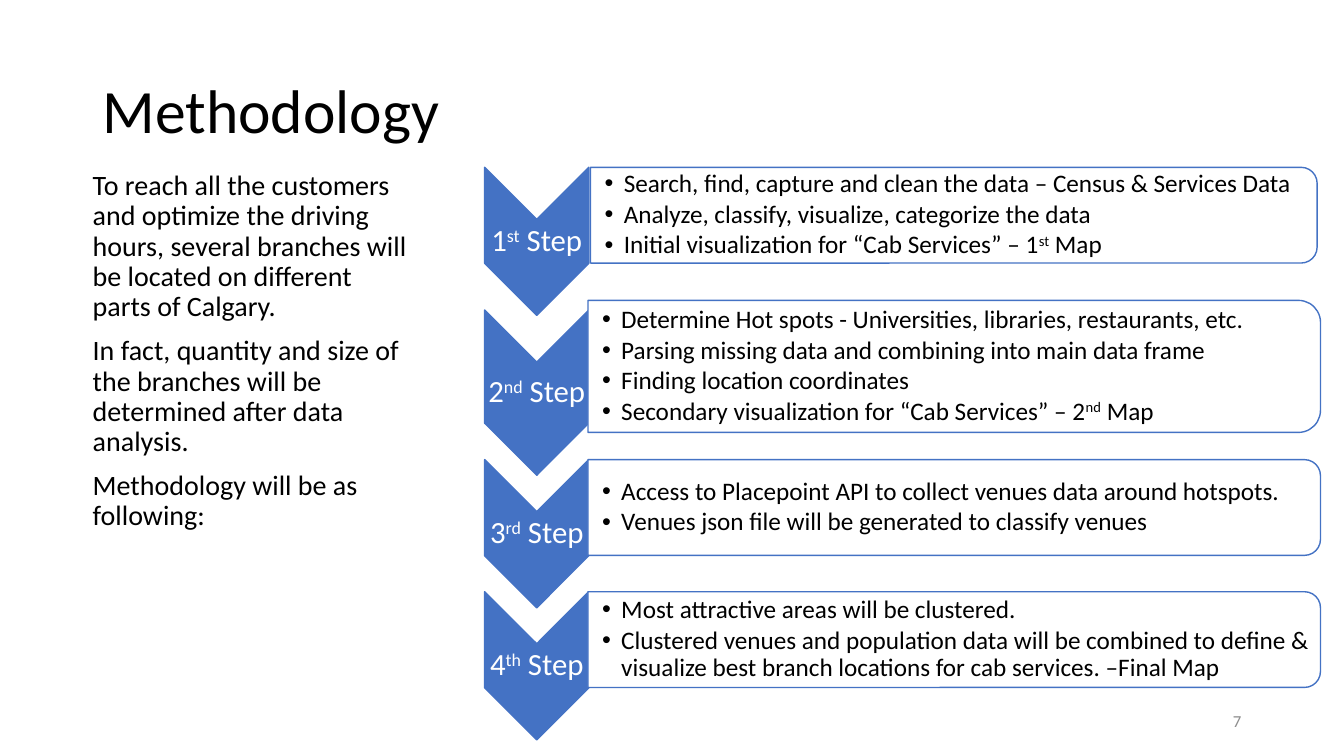
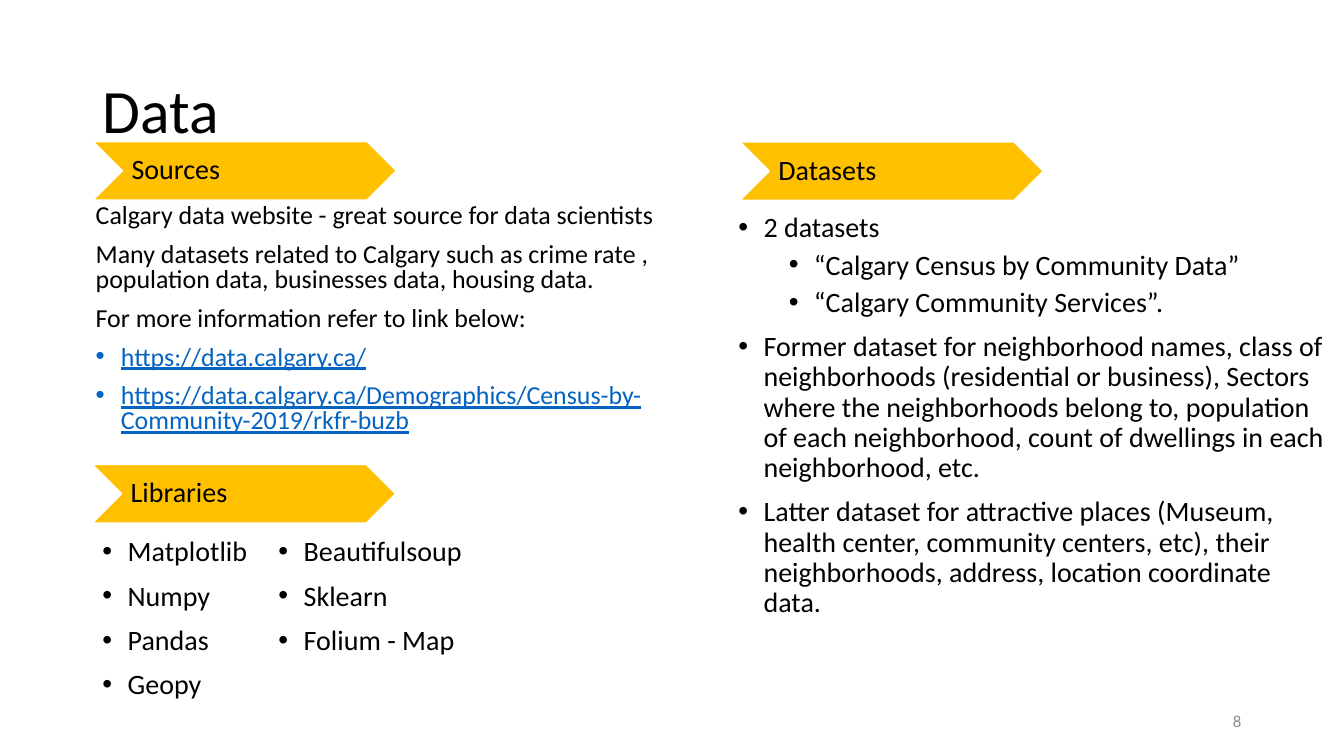
import lxml.etree
import pptx
import pptx.dml.color
import pptx.enum.shapes
import pptx.enum.text
import pptx.oxml.ns
import pptx.util

COLS, ROWS = 160, 90
COLORS = {"text": "000000", "blue": "4472C4", "gold": "FFC000", "white": "FFFFFF",
          "gray": "8C8C8C", "link": "0563C1"}
ALIGN = pptx.enum.text.PP_ALIGN
MIDDLE = pptx.enum.text.MSO_ANCHOR.MIDDLE
TOP = pptx.enum.text.MSO_ANCHOR.TOP
SHAPE = pptx.enum.shapes.MSO_SHAPE
Pt = pptx.util.Pt


def style(size, color="text", line=0.9, before=0, after=0, align=ALIGN.LEFT, indent=None, underline=None):
    """Return the font, paragraph and bullet settings of one text style."""
    return {"font": {"name": "Calibri", "size": Pt(size), "underline": underline},
            "para": {"line_spacing": line, "space_before": Pt(before),
                     "space_after": Pt(after), "alignment": align},
            "color": color, "indent": indent}


STYLES = {
    "title": style(44),
    "number": style(12, "gray", line=1, align=ALIGN.RIGHT),
    "body": style(20, before=10),
    "bullet": style(20, before=10, indent=(3, 3)),
    "sub": style(20, before=5, indent=(9, 3)),
    "source": style(18.5, line=0.8, before=10),
    "link": style(18.5, "link", line=0.8, before=10, indent=(3, 3), underline=True),
    "step": style(22, "white", align=ALIGN.CENTER),
    "task": style(18, after=2.4, indent=(2.28, 2.28)),
    "banner": style(20),
}


class Deck:
    """Hold the style and the current slide, drawn on a grid of columns and rows."""

    def __init__(self):
        """Start an empty widescreen presentation."""
        self.prs = pptx.Presentation()
        self.prs.slide_width = pptx.util.Inches(13.333)
        self.prs.slide_height = pptx.util.Inches(7.5)
        self.s = None

    def x(self, cols):
        """Turn columns into a length."""
        return round(self.prs.slide_width * cols / COLS)

    def y(self, rows):
        """Turn rows into a length."""
        return round(self.prs.slide_height * rows / ROWS)

    def place(self, at):
        """Turn a grid rectangle into slide lengths."""
        left, top, width, height = at
        return self.x(left), self.y(top), self.x(width), self.y(height)

    def rgb(self, name):
        """Look up a named colour."""
        return pptx.dml.color.RGBColor.from_string(COLORS[name])

    def slide(self, title, number):
        """Add a blank slide with its title and number."""
        self.s = self.prs.slides.add_slide(self.prs.slide_layouts[6])
        self.text((11, 4.8, 138, 17.4), "title", [title], anchor=MIDDLE)
        self.text((113, 83.4, 36, 4.8), "number", [str(number)], anchor=MIDDLE)

    def bullet(self, p, color, indent):
        """Give a paragraph a hanging round bullet."""
        pPr = p._p.get_or_add_pPr()
        left, hang = indent
        pPr.set("marL", str(self.x(left)))
        pPr.set("indent", str(-self.x(hang)))
        qn = pptx.oxml.ns.qn
        clr = lxml.etree.SubElement(pPr, qn("a:buClr"))
        lxml.etree.SubElement(clr, qn("a:srgbClr"), val=COLORS[color])
        lxml.etree.SubElement(pPr, qn("a:buFont"), typeface="Arial")
        lxml.etree.SubElement(pPr, qn("a:buChar"), char="•")

    def fill_text(self, tf, name, items, anchor=TOP, inset=(1.2, 0.6, 1.2, 0.6)):
        """Write paragraphs; an item may name its own style, and ^ marks superscript."""
        sides = ("margin_left", "margin_top", "margin_right", "margin_bottom")
        frame = dict(zip(sides, map(self.x, inset)), word_wrap=True, vertical_anchor=anchor)
        for key, value in frame.items():
            setattr(tf, key, value)
        for i, item in enumerate(items):
            kind, words = (name, item) if isinstance(item, str) else item
            look = STYLES[kind]
            p = tf.add_paragraph() if i else tf.paragraphs[0]
            if look["indent"]:
                self.bullet(p, look["color"], look["indent"])
            for key, value in look["para"].items():
                setattr(p, key, value)
            if i == 0:
                p.space_before = Pt(0)
            for j, part in enumerate(words.split("^")):
                r = p.add_run()
                r.text = part
                for key, value in look["font"].items():
                    setattr(r.font, key, value)
                r.font.color.rgb = self.rgb(look["color"])
                if j % 2:
                    r._r.get_or_add_rPr().set("baseline", "30000")

    def text(self, at, name, items, **frame):
        """Add a text box."""
        self.fill_text(self.s.shapes.add_textbox(*self.place(at)).text_frame, name, items, **frame)

    def shape(self, kind, at, fill, line, turned=False):
        """Add a preset shape that covers a rectangle, turned by a quarter if asked."""
        if turned:
            left, top, w, h = at
            at = left + (w - h) / 2, top + (h - w) / 2, h, w
        sp = self.s.shapes.add_shape(kind, *self.place(at))
        sp.rotation = 90 if turned else 0
        sp.shadow.inherit = False
        sp.fill.solid()
        sp.fill.fore_color.rgb = self.rgb(fill)
        sp.line.color.rgb = self.rgb(line)
        sp.line.width = Pt(1)
        return sp

    def step(self, label, arrow, box, tasks):
        """Add a downward chevron with its label and a box of tasks."""
        self.shape(SHAPE.CHEVRON, arrow, "blue", "blue", turned=True)
        self.text(arrow, "step", [label], anchor=MIDDLE, inset=(0.24,) * 4)
        self.shape(SHAPE.ROUND_2_SAME_RECTANGLE, box, "white", "blue", turned=True)
        left, top, w, h = box
        self.text((left, top, w - 0.6, h), "task", tasks, anchor=MIDDLE,
                  inset=(1.68, 0.12, 0.12, 0.12))

    def banner(self, left, top, words):
        """Add a gold chevron heading."""
        sp = self.shape(SHAPE.CHEVRON, (left, top, 36.1, 6.96), "gold", "white")
        self.fill_text(sp.text_frame, "banner", [words], anchor=MIDDLE,
                       inset=(1.08, 0.36, 0.36, 0.36))


STEPS = [
    ("1^st^ Step", 19.92, 17.64, (70.3, 19.92, 86.5, 11.4), [
        "Search, find, capture and clean the data – Census & Services Data",
        "Analyze, classify, visualize, categorize the data",
        "Initial visualization for “Cab Services” – 1^st^ Map"]),
    ("2^nd^ Step", 36.9, 19.68, (70, 35.76, 87.2, 15.72), [
        "Determine Hot spots - Universities, libraries, restaurants, etc.",
        "Parsing missing data and combining into main data frame",
        "Finding location coordinates",
        "Secondary visualization for “Cab Services” – 2^nd^ Map"]),
    ("3^rd^ Step", 54.72, 17.64, (70, 54.72, 87.2, 11.4), [
        "Access to Placepoint API to collect venues data around hotspots.",
        "Venues json file will be generated to classify venues"]),
    ("4^th^ Step", 70.44, 17.64, (70, 70.44, 87.2, 11.4), [
        "Most attractive areas will be clustered.",
        "Clustered venues and population data will be combined to define & visualize "
        "best branch locations for cab services. –Final Map"]),
]


def methodology(deck):
    """Build the slide of the four steps."""
    deck.slide("Methodology", 7)
    deck.text((9.84, 19.8, 40, 57.7), "body", [
        "To reach all the customers and optimize the driving hours, several branches "
        "will be located on different parts of Calgary.",
        "In fact, quantity and size of the branches will be determined after data analysis.",
        "Methodology will be as following:"])
    for label, top, height, box, tasks in STEPS:
        deck.step(label, (57.7, top, 12.4, height), box, tasks)


def data(deck):
    """Build the slide of sources, libraries and datasets."""
    deck.slide("Data", 8)
    deck.text((10.2, 23.76, 71.9, 30.4), "source", [
        "Calgary data website - great source for data scientists",
        "Many datasets related to Calgary such as crime rate , population data, "
        "businesses data, housing data.",
        "For more information refer to link below:",
        ("link", "https://data.calgary.ca/"),
        ("link", "https://data.calgary.ca/Demographics/Census-by-Community-2019/rkfr-buzb")])
    for left, top, words in [(11.1, 16.85, "Sources"), (11, 55.3, "Libraries"),
                             (88.1, 16.9, "Datasets")]:
        deck.banner(left, top, words)
    for left, width, names in [(11, 20, ["Matplotlib", "Numpy", "Pandas", "Geopy"]),
                               (31.95, 28.7, ["Beautifulsoup", "Sklearn", "Folium - Map"])]:
        deck.text((left, 63.4, width, 20.9), "bullet", names)
    deck.text((86.7, 24.84, 73.3, 49), "bullet", [
        "2 datasets",
        ("sub", "“Calgary Census by Community Data”"),
        ("sub", "“Calgary Community Services”."),
        "Former dataset for neighborhood names, class of neighborhoods (residential or "
        "business), Sectors where the neighborhoods belong to, population of each "
        "neighborhood, count of dwellings in each neighborhood, etc.",
        "Latter dataset for attractive places (Museum, health center, community centers, "
        "etc), their neighborhoods, address, location coordinate data."])


def main():
    """Build and save the slides."""
    deck = Deck()
    methodology(deck)
    data(deck)
    deck.prs.save("out.pptx")


if __name__ == "__main__":
    main()
